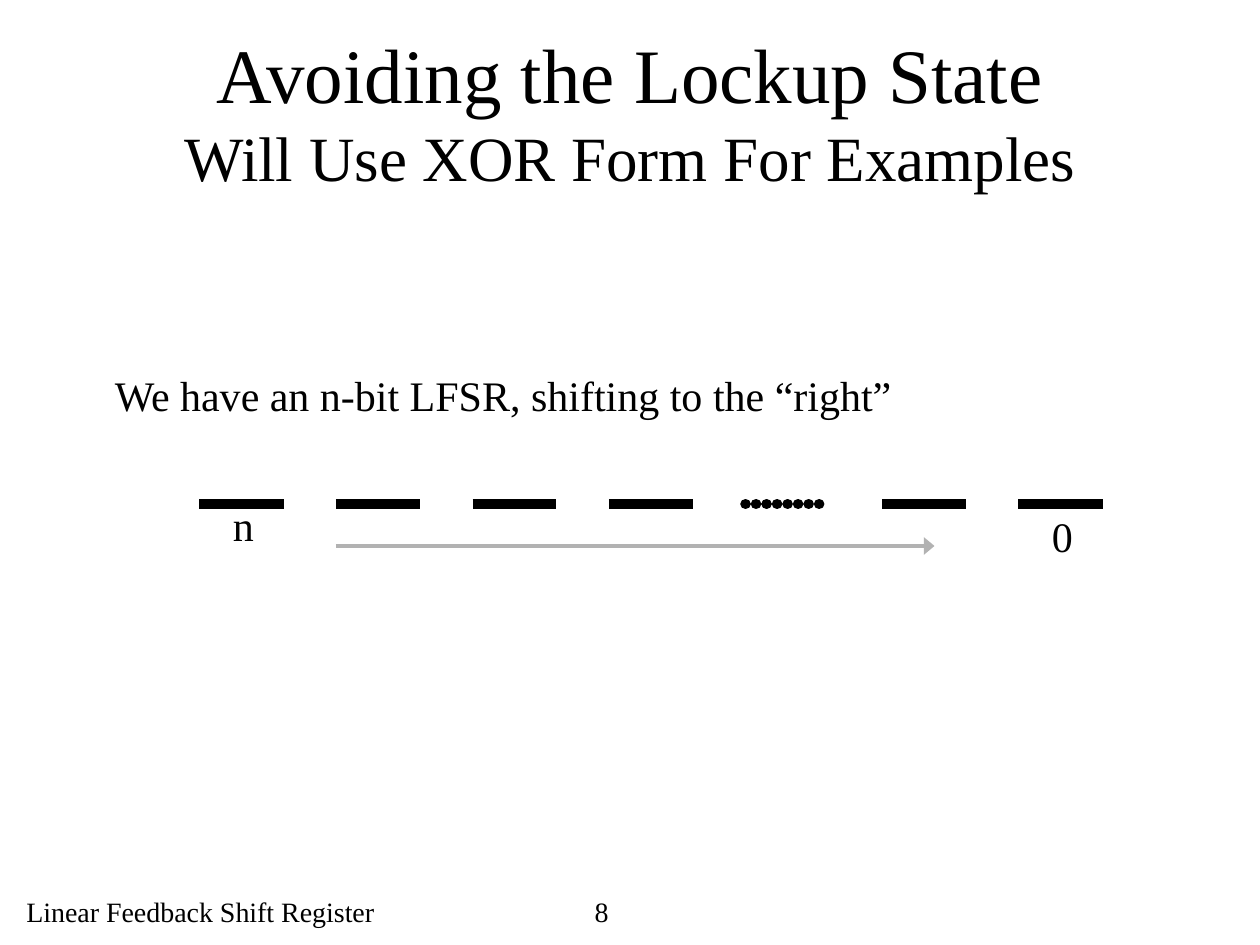
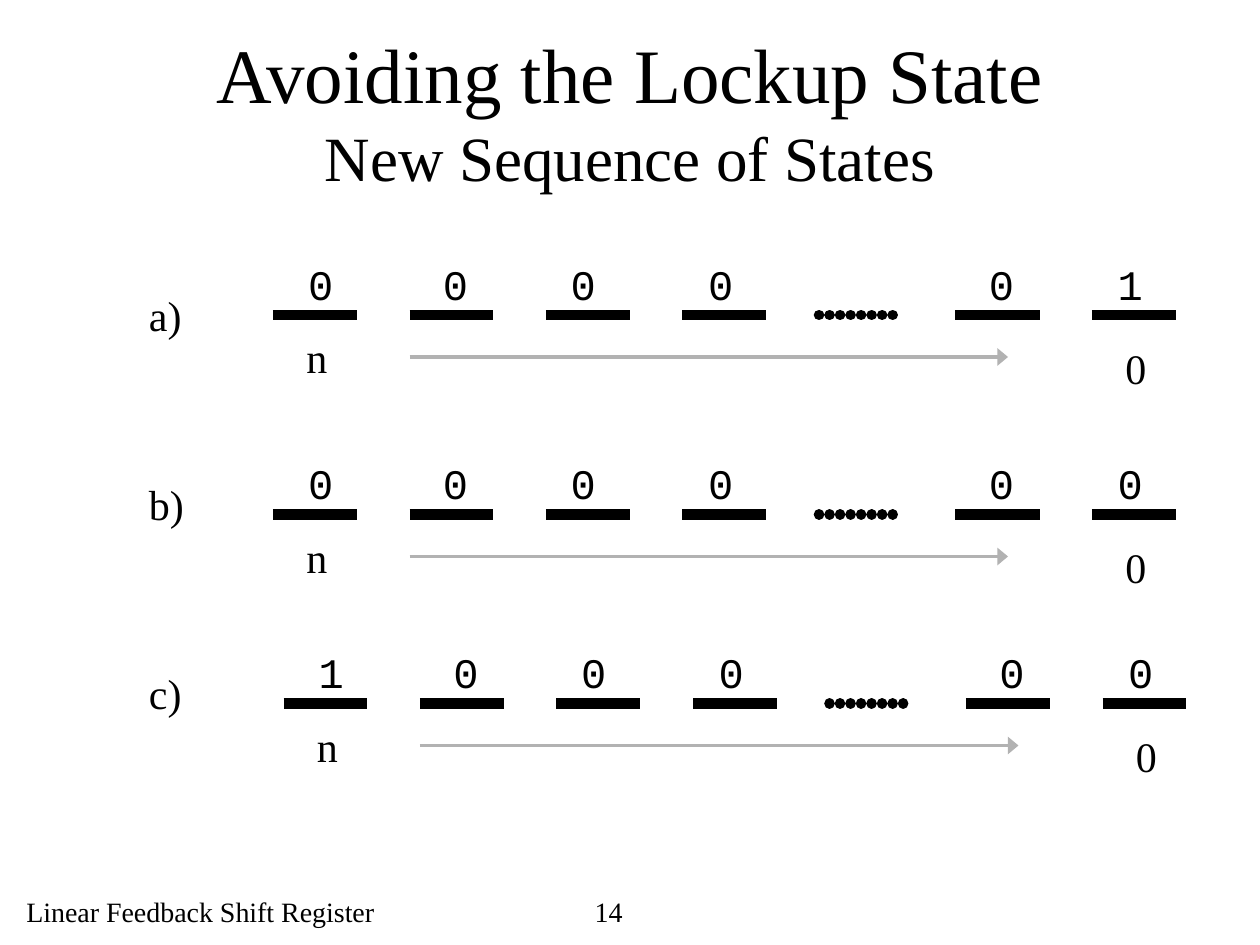
"""Build two slides on avoiding the lockup state of a shift register."""
from dataclasses import dataclass

import pptx
import pptx.dml.color
import pptx.enum.shapes
import pptx.enum.text
import pptx.oxml
import pptx.oxml.ns
import pptx.presentation
import pptx.util
from pptx.shapes.connector import Connector
from pptx.slide import Slide
from pptx.text.text import Font

Pt = pptx.util.Pt
INK = {"text": "000000", "arrow": "B2B2B2"}
SERIF, MONO = "Times New Roman", "Courier New"
PITCH, DASH, CELLS, GAP = 78, 48, 7, 4
NUDGE = (13, 12, 7, 7.5, 0, 12, 7.5)
NAMES = pptx.oxml.ns.nsdecls("a")


@dataclass
class Label:
    text: str
    left: float
    top: float
    width: float
    height: float = 36
    size: float = 24
    face: str = SERIF
    wrap: bool = False


@dataclass
class Row:
    left: float
    top: float
    drop: float = 12
    bits: str = ""


@dataclass
class Page:
    title: str
    number: str
    labels: list[Label]
    rows: list[Row]


PAGES = [
    Page("Will Use XOR Form For Examples", "8",
         [Label("We have an n-bit LFSR, shifting to the “right”",
                58.5, 207.5, 480, wrap=True)],
         [Row(114, 288, drop=0)]),
    Page("New Sequence of States", "14",
         [Label(f"{mark})", 78, 162 + 108 * i, 48, wrap=True)
          for i, mark in enumerate("abc")],
         [Row(156, 180, bits="0000 01"), Row(156, 294, bits="0000 00"),
          Row(162, 402, bits="1000 00")]),
]


def color(name: str) -> pptx.dml.color.RGBColor:
    return pptx.dml.color.RGBColor.from_string(INK[name])


def style(font: Font, size: float, face: str = SERIF) -> None:
    for key, value in {"size": Pt(size), "name": face}.items():
        setattr(font, key, value)
    font.color.rgb = color("text")


def write(slide: Slide, label: Label) -> None:
    box = slide.shapes.add_textbox(
        *map(Pt, (label.left, label.top, label.width, label.height)))
    frame = box.text_frame
    frame.word_wrap = label.wrap
    frame.auto_size = pptx.enum.text.MSO_AUTO_SIZE.SHAPE_TO_FIT_TEXT
    frame.text = label.text
    style(frame.paragraphs[0].runs[0].font, label.size, label.face)


def stroke(slide: Slide, left: float, top: float, length: float,
           weight: float, ink: str = "text") -> Connector:
    line = slide.shapes.add_connector(
        pptx.enum.shapes.MSO_CONNECTOR.STRAIGHT,
        *map(Pt, (left, top, left + length, top)))
    line.line.width = Pt(weight)
    line.line.color.rgb = color(ink)
    line._element.spPr.append(
        pptx.oxml.parse_xml(f"<a:effectLst {NAMES}/>"))
    return line


def extend(line: Connector, xml: str) -> None:
    line.line._ln.append(pptx.oxml.parse_xml(xml))


def draw_row(slide: Slide, row: Row) -> None:
    for i in range(CELLS):
        cell = stroke(slide, row.left + i * PITCH, row.top, DASH, 6)
        if i == GAP:
            cell.line._ln.set("cap", "rnd")
            extend(cell, f'<a:custDash {NAMES}>'
                         '<a:ds d="100000" sp="0"/></a:custDash>')
    arrow = stroke(slide, row.left + PITCH, row.top + 24, 342, 2, "arrow")
    extend(arrow, f'<a:tailEnd {NAMES} type="triangle" w="lg"/>')
    foot = row.top + row.drop
    write(slide, Label("0", row.left + 480, foot, 26))
    write(slide, Label("n", row.left + 12, foot - 6, 26))
    for i, bit in enumerate(row.bits):
        if i != GAP:
            write(slide, Label(bit, row.left + i * PITCH + NUDGE[i],
                               row.top - 36, 29, face=MONO))


def set_title(slide: Slide, text: str) -> None:
    title = slide.shapes.title
    place = {"left": 54, "top": 18, "width": 612, "height": 90}
    for key, value in place.items():
        setattr(title, key, Pt(value))
    frame = title.text_frame
    frame.auto_size = pptx.enum.text.MSO_AUTO_SIZE.NONE
    frame.vertical_anchor = pptx.enum.text.MSO_ANCHOR.MIDDLE
    para = frame.paragraphs[0]
    para.alignment = pptx.enum.text.PP_ALIGN.CENTER
    head = para.add_run()
    head.text = "Avoiding the Lockup State"
    para.add_line_break()
    tail = para.add_run()
    tail.text = text
    style(head.font, 44)
    style(tail.font, 36)


def build(deck: pptx.presentation.Presentation, page: Page) -> None:
    slide = deck.slides.add_slide(deck.slide_layouts[5])
    for text, left, width in (("Linear Feedback Shift Register", 8, 230),
                              (page.number, 332.75, 81)):
        write(slide, Label(text, left, 507.5, width, 27, 16, wrap=True))
    set_title(slide, page.title)
    for label in page.labels:
        write(slide, label)
    for row in page.rows:
        draw_row(slide, row)


def main() -> None:
    deck = pptx.Presentation()
    deck.slide_width, deck.slide_height = Pt(720), Pt(540)
    for page in PAGES:
        build(deck, page)
    deck.save("out.pptx")


if __name__ == "__main__":
    main()
